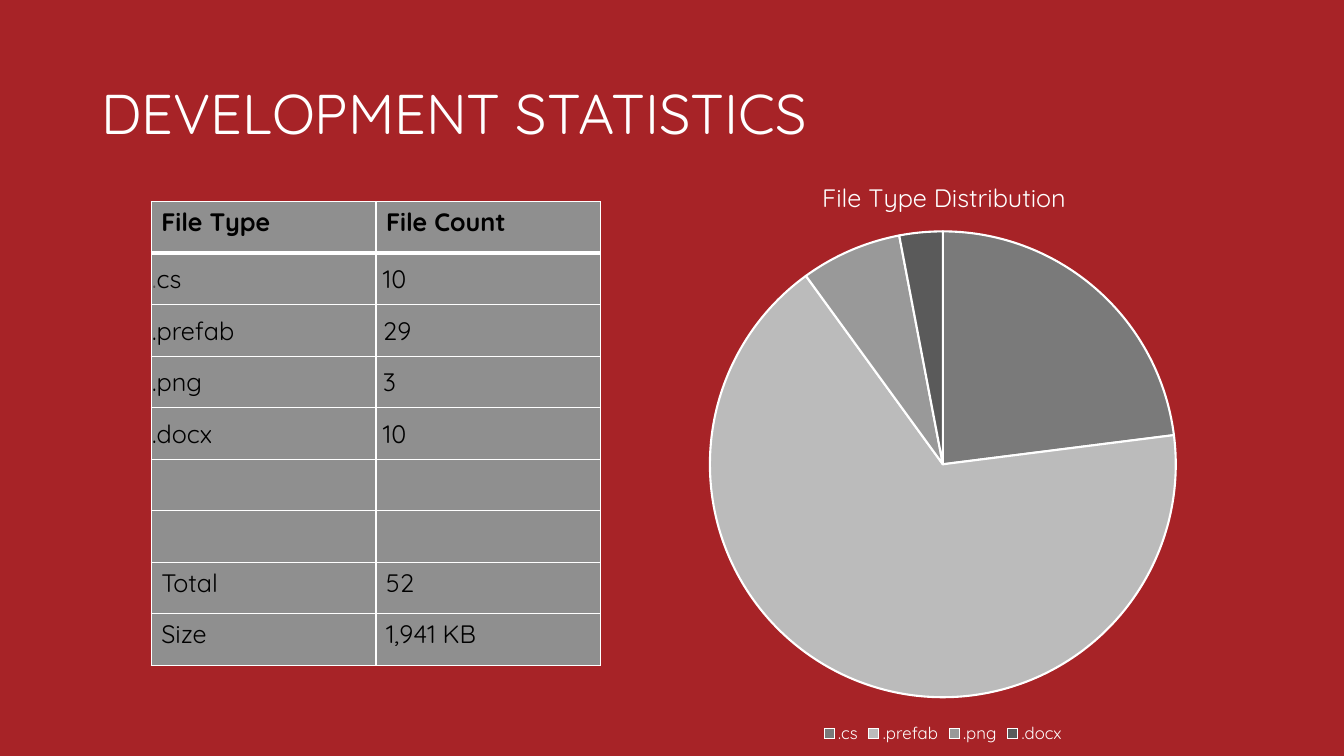
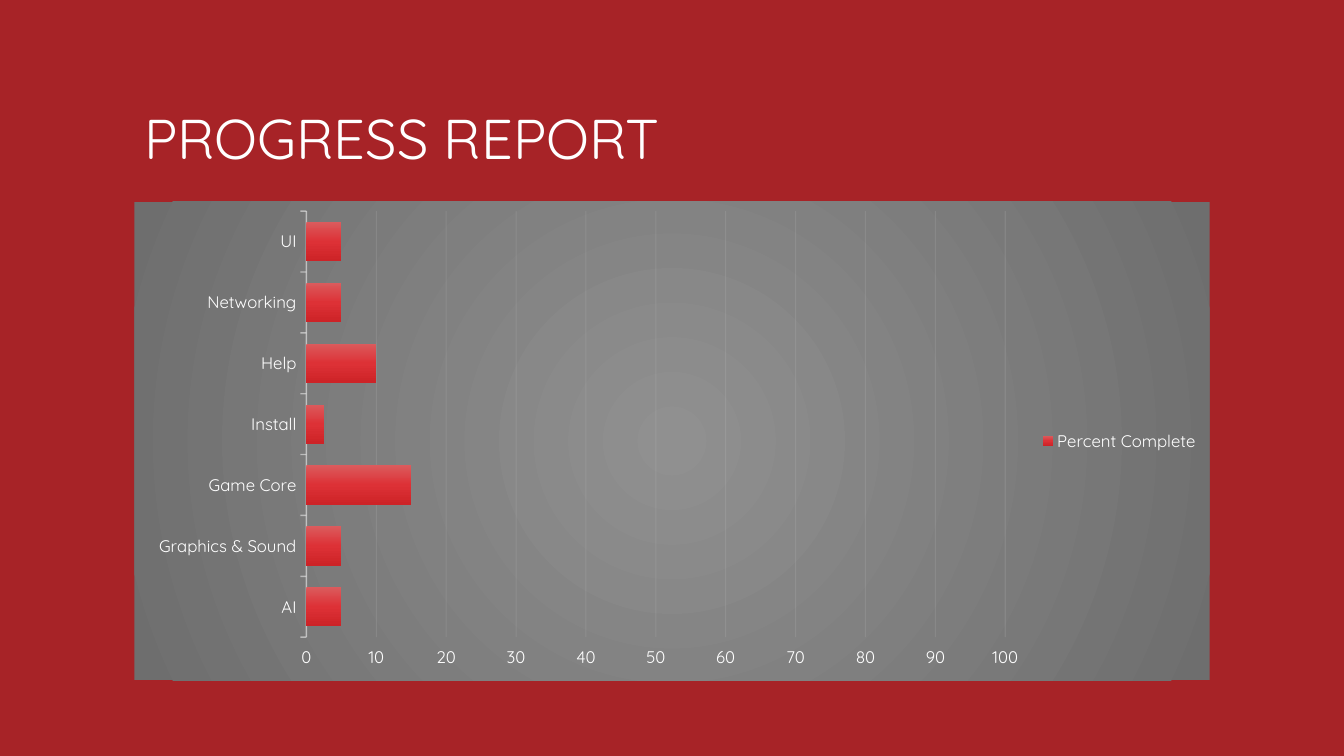
import pptx
import pptx.chart.data
import pptx.dml.color
import pptx.enum.chart
import pptx.enum.text
import pptx.oxml
import pptx.oxml.ns
import pptx.util

Pt = pptx.util.Pt
FONT = "Quicksand"
RED, WHITE, BLACK, GREY, DIM = "A72327", "FFFFFF", "000000", "8F8F8F", "545454"
AXIS = "F2F2F2"
CHART_TYPE = pptx.enum.chart.XL_CHART_TYPE
LEGEND_POSITION = pptx.enum.chart.XL_LEGEND_POSITION
TICK_MARK = pptx.enum.chart.XL_TICK_MARK
ANCHOR = pptx.enum.text.MSO_ANCHOR

FILE_COUNTS = [
    ("File Type", "File Count"),
    (".cs", "10"),
    (".prefab", "29"),
    (".png", "3"),
    (".docx", "10"),
    ("", ""),
    ("", ""),
    ("Total", "52"),
    ("Size", "1,941 KB"),
]
LISTED_ROWS = range(1, 5)
FILE_SHARES = {".cs": 23, ".prefab": 67, ".png": 7, ".docx": 3}
SHARE_COLORS = ["7A7A7A", "BBBBBB", "999999", "5A5A5A"]
PROGRESS = {
    "AI": 5,
    "Graphics & Sound": 5,
    "Game Core": 15,
    "Install": 2.5,
    "Help": 10,
    "Networking": 5,
    "UI": 5,
}


def rgb(color):
    return pptx.dml.color.RGBColor.from_string(color)


def style_font(font, size, color=WHITE, bold=False):
    font.name = FONT
    font.size = Pt(size)
    font.bold = bold
    font.color.rgb = rgb(color)


def points(box):
    return [Pt(length) for length in box]


def drawing_xml(tag, attributes, content):
    namespaces = pptx.oxml.ns.nsdecls("a", "c")
    return pptx.oxml.parse_xml(f"<{tag} {namespaces} {attributes}>{content}</{tag}>")


def gradient(stops, direction):
    stop_xml = "".join(
        f'<a:gs pos="{percent * 1000}"><a:srgbClr val="{color}"/></a:gs>'
        for percent, color in stops
    )
    return drawing_xml("a:gradFill", 'rotWithShape="1"', f"<a:gsLst>{stop_xml}</a:gsLst>{direction}")


def set_line(line, color, width, opacity=100):
    line.color.rgb = rgb(color)
    line.width = Pt(width)
    if opacity < 100:
        for tint in line._get_or_add_ln().xpath(".//a:srgbClr"):
            tint.append(drawing_xml("a:alpha", f'val="{opacity * 1000}"', ""))


def set_layout(parent, index, inner=False, **fractions):
    for old_layout in parent.findall(pptx.oxml.ns.qn("c:layout")):
        parent.remove(old_layout)
    content = '<c:layoutTarget val="inner"/>' if inner else ""
    content += "".join(f'<c:{axis}Mode val="edge"/>' for axis in "xy")
    content += "".join(f'<c:{name} val="{value}"/>' for name, value in fractions.items())
    manual = f"<c:manualLayout>{content}</c:manualLayout>"
    parent.insert(index, drawing_xml("c:layout", "", manual))


def add_titled_slide(deck, heading, box):
    slide = deck.slides.add_slide(deck.slide_layouts[5])
    title = slide.shapes.title
    title.left, title.top, title.width, title.height = points(box)
    frame = title.text_frame
    frame.text = heading
    frame.word_wrap = True
    frame.auto_size = pptx.enum.text.MSO_AUTO_SIZE.NONE
    frame.vertical_anchor = ANCHOR.BOTTOM
    paragraph = frame.paragraphs[0]
    paragraph.alignment = pptx.enum.text.PP_ALIGN.LEFT
    paragraph.line_spacing = 0.9
    style_font(paragraph.runs[0].font, 40)
    return slide


def add_chart(slide, box, kind, series_name, values, legend_position):
    data = pptx.chart.data.CategoryChartData()
    data.categories = list(values)
    data.add_series(series_name, list(values.values()))
    chart = slide.shapes.add_chart(kind, *points(box), data).chart
    style_font(chart.font, 12)
    chart.has_legend = True
    chart.legend.position = legend_position
    chart.legend.include_in_layout = False
    style_font(chart.legend.font, 12)
    return chart


def set_borders(cell, row):
    widths = {"L": 1, "R": 1, "T": 3 if row == 1 else 1, "B": 3 if row == 0 else 1}
    properties = cell._tc.get_or_add_tcPr()
    line_fill = f'<a:solidFill><a:srgbClr val="{WHITE}"/></a:solidFill>'
    for index, (side, width) in enumerate(widths.items()):
        properties.insert(index, drawing_xml(f"a:ln{side}", f'w="{Pt(width)}"', line_fill))


def add_file_table(slide, box):
    left, top, width, height = box
    row_count = len(FILE_COUNTS)
    table = slide.shapes.add_table(row_count, 2, *points(box)).table
    table.horz_banding = False
    for column in table.columns:
        column.width = Pt(width / 2)
    for row, entries in enumerate(FILE_COUNTS):
        table.rows[row].height = Pt(height / row_count)
        for column, entry in enumerate(entries):
            cell = table.cell(row, column)
            cell.text = entry
            cell.fill.solid()
            cell.fill.fore_color.rgb = rgb(GREY)
            set_borders(cell, row)
            if row in LISTED_ROWS:
                cell.vertical_anchor = ANCHOR.MIDDLE
                cell.margin_left = Pt(5 if column else 0.7)
                cell.margin_right = cell.margin_top = Pt(0.7)
                cell.margin_bottom = 0
            paragraph = cell.text_frame.paragraphs[0]
            style_font(paragraph.font, 18, BLACK)
            for run in paragraph.runs:
                style_font(run.font, 18, BLACK, row == 0)
    first_type = table.cell(1, 0).text_frame.paragraphs[0]
    dot = first_type.runs[0]
    extension = first_type.add_run()
    dot.text, extension.text = ".", "cs"
    style_font(dot.font, 18, DIM)
    style_font(extension.font, 18, BLACK)


def add_share_pie(slide, box):
    chart = add_chart(slide, box, CHART_TYPE.PIE, "Series 1", FILE_SHARES, LEGEND_POSITION.BOTTOM)
    chart.has_title = True
    caption = chart.chart_title.text_frame
    caption.text = "File Type Distribution"
    style_font(caption.paragraphs[0].runs[0].font, 18)
    chart_xml = chart._chartSpace.chart
    set_layout(chart_xml.find(pptx.oxml.ns.qn("c:title")), 1, x=0.36, y=0.04)
    set_layout(chart_xml.plotArea, 0, inner=True, x=0.24, y=0.13, w=0.52, h=0.79)
    pie = chart.plots[0]
    pie.vary_by_categories = True
    for index, color in enumerate(SHARE_COLORS):
        slice_format = pie.series[0].points[index].format
        slice_format.fill.solid()
        slice_format.fill.fore_color.rgb = rgb(color)
        set_line(slice_format.line, WHITE, 1.5)


def add_progress_bars(slide, box):
    chart = add_chart(
        slide, box, CHART_TYPE.BAR_STACKED, "Percent Complete", PROGRESS, LEGEND_POSITION.RIGHT
    )
    chart.has_title = False
    chart_xml = chart._chartSpace.chart
    set_layout(chart_xml.plotArea, 0, inner=True, x=0.16, y=0.02, w=0.65, h=0.89)
    backdrop = drawing_xml("c:spPr", "", "")
    center = '<a:path path="circle"><a:fillToRect l="50000" t="50000" r="50000" b="50000"/></a:path>'
    backdrop.append(gradient([(0, "909090"), (100, "6E6E6E")], center))
    backdrop.append(drawing_xml("a:ln", "", "<a:noFill/>"))
    chart_xml.addnext(backdrop)

    bars = chart.plots[0]
    bars.gap_width = 55
    bars.overlap = 100
    bars.vary_by_categories = False
    progress = bars.series[0]
    progress.invert_if_negative = False
    progress.format.fill.solid()
    for solid in progress._element.xpath("c:spPr/a:solidFill"):
        shades = [(0, "DB5B5D"), (50, "DD3136"), (100, "CD2327")]
        solid.getparent().replace(solid, gradient(shades, '<a:lin ang="5400000" scaled="0"/>'))

    tasks, percent = chart.category_axis, chart.value_axis
    for axis in (tasks, percent):
        axis.major_tick_mark = TICK_MARK.OUTSIDE
        axis.minor_tick_mark = TICK_MARK.NONE
        style_font(axis.tick_labels.font, 12)
    set_line(tasks.format.line, AXIS, 1, 54)
    percent.minimum_scale, percent.maximum_scale, percent.major_unit = 0, 100, 10
    percent.format.line.fill.background()
    percent.has_major_gridlines = True
    set_line(percent.major_gridlines.format.line, AXIS, 0.75, 10)


def main():
    deck = pptx.Presentation()
    deck.slide_width, deck.slide_height = Pt(960), Pt(540)
    background = deck.slide_master.background.fill
    background.solid()
    background.fore_color.rgb = rgb(RED)

    statistics = add_titled_slide(deck, "DEVELOPMENT STATISTICS", (65.5, 3.6, 768, 104.4))
    add_file_table(statistics, (108, 144, 321.2, 331.2))
    add_share_pie(statistics, (353.5, 108, 640, 426.2))

    report = add_titled_slide(deck, "PROGRESS REPORT", (96, 21.6, 768, 104.4))
    add_progress_bars(report, (96, 144, 768, 342))

    deck.save("out.pptx")


if __name__ == "__main__":
    main()
